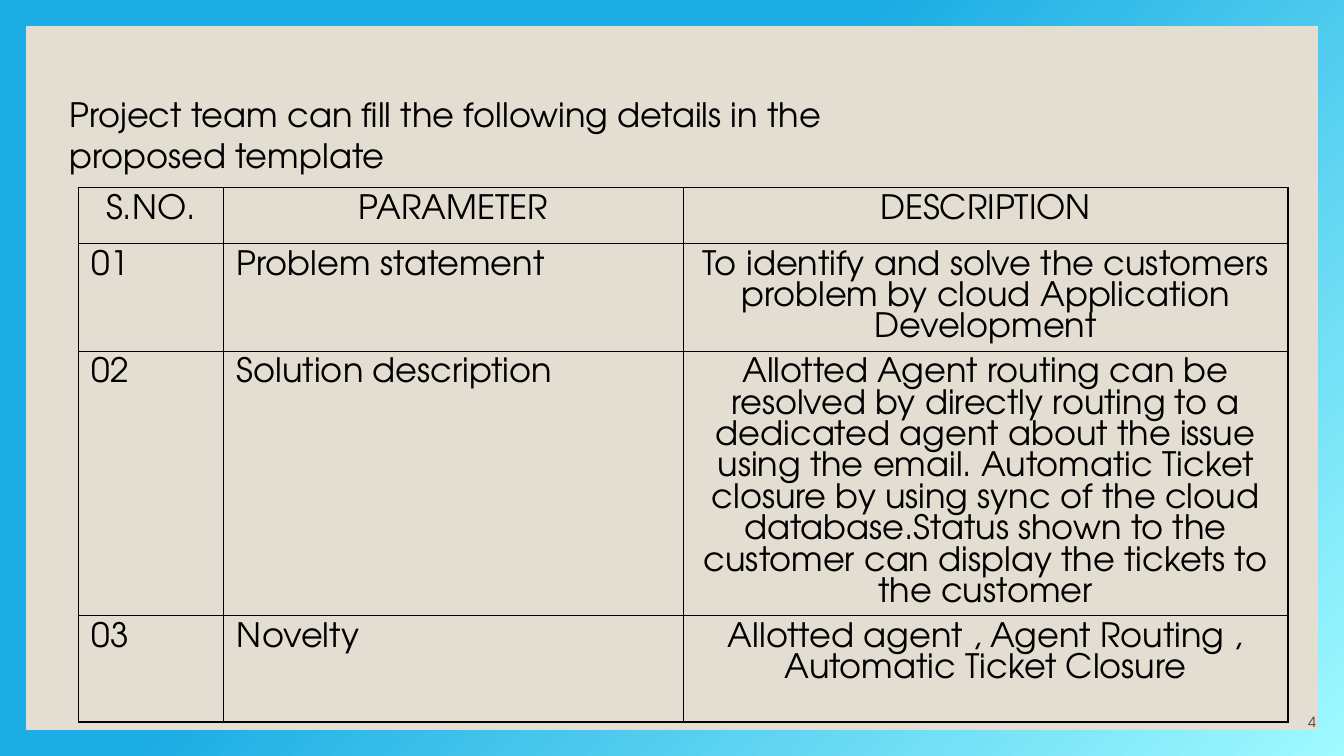
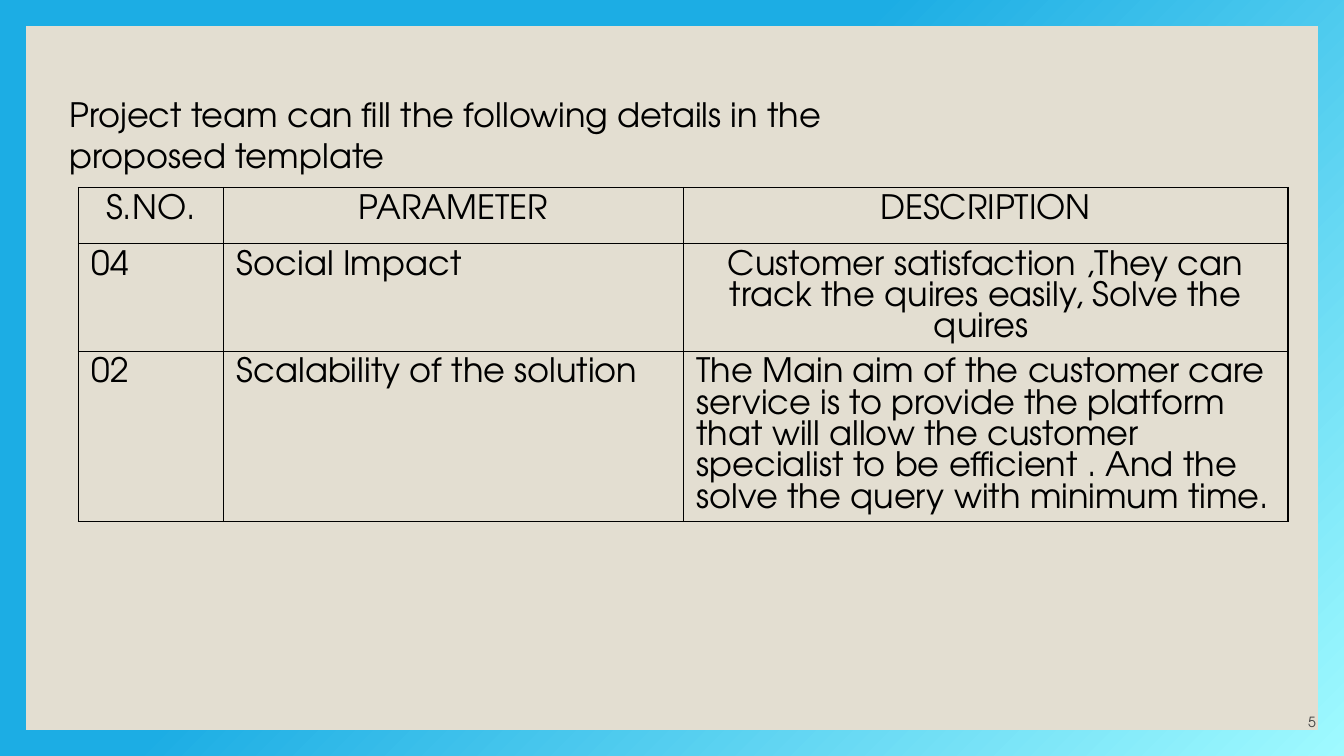
from pptx import Presentation
from pptx.dml.color import RGBColor
from pptx.enum.shapes import MSO_SHAPE
from pptx.enum.text import MSO_ANCHOR, MSO_AUTO_SIZE, PP_ALIGN
from pptx.oxml import parse_xml
from pptx.util import Pt

RECTANGLE = MSO_SHAPE.RECTANGLE
BOTTOM = MSO_ANCHOR.BOTTOM
GROW = MSO_AUTO_SIZE.SHAPE_TO_FIT_TEXT
LEFT, CENTER, RIGHT = PP_ALIGN.LEFT, PP_ALIGN.CENTER, PP_ALIGN.RIGHT

COLORS = {"glow": "9FFAFF", "frame": "1CADE4", "panel": "E3DED1",
          "text": "000000", "number": "404040"}
FONT = "TeX Gyre Adventor"
NAMESPACE = 'xmlns:a="http://schemas.openxmlformats.org/drawingml/2006/main"'

TITLE = "Project team can fill the following details in the proposed template"
HEADINGS = ["S.NO.", "PARAMETER", "DESCRIPTION"]
COLUMN_WIDTHS = [77.76, 246.24, 324]
HEADING_HEIGHT, ROW_HEIGHT = 30, 57

PAGES = [
    (4, [
        ("01", "Problem statement",
         "To identify and solve the customers problem by cloud Application "
         "Development", CENTER),
        ("02", "Solution description",
         "Allotted Agent routing can be resolved by directly routing to a "
         "dedicated agent about the issue using the email. Automatic Ticket "
         "closure by using sync of the cloud database.Status shown to the "
         "customer can display the tickets to the customer", CENTER),
        ("03", "Novelty",
         "Allotted agent , Agent Routing , Automatic Ticket Closure", CENTER),
    ]),
    (5, [
        ("04", "Social Impact",
         "Customer satisfaction ,They can track the quires easily, Solve the "
         "quires ", CENTER),
        ("02", "Scalability of the solution",
         "The Main aim of the customer care service is to provide the platform "
         "that will allow the customer specialist to be efficient . And the "
         "solve the query with minimum time.", LEFT),
    ]),
]


def set_all(target, values):
    for name, value in values.items():
        setattr(target, name, value)


def write_text(frame, text, size=18, color="text", **paragraph_format):
    para = frame.paragraphs[0]
    set_all(para, paragraph_format)
    span = para.add_run()
    span.text = text
    set_all(span.font, {"name": FONT, "size": Pt(size)})
    span.font.color.rgb = RGBColor.from_string(COLORS[color])


def add_text(page, text, left, top, width, height, frame_format, **text_format):
    box = page.shapes.add_textbox(Pt(left), Pt(top), Pt(width), Pt(height))
    set_all(box.text_frame, {"word_wrap": True, **frame_format})
    write_text(box.text_frame, text, **text_format)


def paint_background(page):
    page.background.fill.solid()
    stops = "".join(
        f'<a:gs pos="{position * 1000}"><a:srgbClr val="{COLORS[color]}"/></a:gs>'
        for position, color in [(0, "glow"), (58, "frame"), (100, "frame")])
    gradient = parse_xml(
        f'<a:gradFill {NAMESPACE} rotWithShape="1"><a:gsLst>{stops}</a:gsLst>'
        '<a:path path="circle"><a:fillToRect l="100000" t="100000"/></a:path>'
        '</a:gradFill>')
    solid = page.background._cSld.bg.bgPr[0]
    solid.getparent().replace(solid, gradient)


def add_panel(page):
    panel = page.shapes.add_shape(RECTANGLE, Pt(14), Pt(14), Pt(692), Pt(377))
    panel.shadow.inherit = False
    panel.fill.solid()
    panel.fill.fore_color.rgb = RGBColor.from_string(COLORS["panel"])
    panel.line.fill.background()


def add_borders(cell):
    properties = cell._tc.get_or_add_tcPr()
    for index, side in enumerate("LRTB"):
        properties.insert(index, parse_xml(
            f'<a:ln{side} {NAMESPACE} w="{Pt(0.75)}"><a:solidFill>'
            f'<a:srgbClr val="{COLORS["text"]}"/></a:solidFill></a:ln{side}>'))


def add_details_table(page, details):
    rows = [(HEADINGS, [CENTER] * 3)]
    rows += [(texts, [LEFT, LEFT, alignment]) for *texts, alignment in details]
    heights = [HEADING_HEIGHT] + [ROW_HEIGHT] * len(details)
    table = page.shapes.add_table(
        len(rows), len(HEADINGS), Pt(42), Pt(100.5),
        Pt(sum(COLUMN_WIDTHS)), Pt(sum(heights))).table
    set_all(table, {"first_row": False, "horz_banding": False})
    for column, width in zip(table.columns, COLUMN_WIDTHS):
        column.width = Pt(width)
    for row, height, (texts, alignments) in zip(table.rows, heights, rows):
        row.height = Pt(height)
        for cell, text, alignment in zip(row.cells, texts, alignments):
            cell.fill.background()
            add_borders(cell)
            write_text(cell.text_frame, text, alignment=alignment,
                       line_spacing=Pt(16.8))


def add_page(deck, number, details):
    page = deck.slides.add_slide(deck.slide_layouts[6])
    paint_background(page)
    add_panel(page)
    margins = ["margin_left", "margin_top", "margin_right", "margin_bottom"]
    add_text(page, str(number), 662, 366, 43, 25,
             {"vertical_anchor": BOTTOM, **dict.fromkeys(margins, 0)},
             size=7.5, color="number", alignment=RIGHT)
    add_details_table(page, details)
    add_text(page, TITLE, 30, 47, 480, 24.5, {"auto_size": GROW})


def main():
    deck = Presentation()
    set_all(deck, {"slide_width": Pt(720), "slide_height": Pt(405)})
    for number, details in PAGES:
        add_page(deck, number, details)
    deck.save("out.pptx")


if __name__ == "__main__":
    main()
